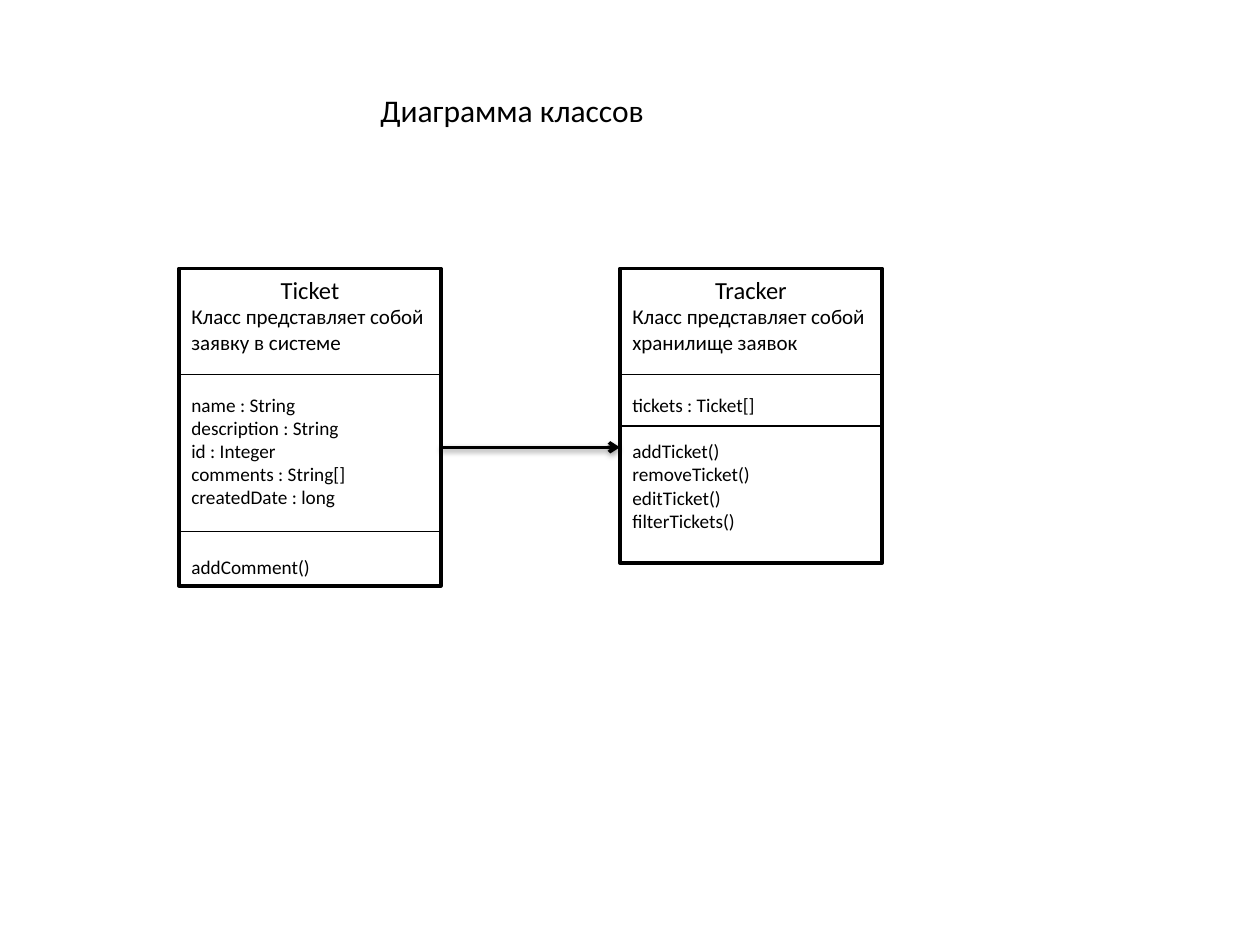
from lxml.etree import SubElement
from pptx import Presentation
from pptx.dml.color import RGBColor
from pptx.enum.shapes import MSO_CONNECTOR, MSO_SHAPE
from pptx.enum.text import MSO_ANCHOR, PP_ALIGN
from pptx.oxml.ns import qn
from pptx.util import Inches, Pt

COLORS = {"ink": "000000", "paper": "FFFFFF"}
FONT = "Calibri"
TITLE = "Диаграмма классов"
CLASS_TOP, CLASS_WIDTH, HEADER_BOTTOM = 2.13, 2.08, 2.97
ARROW_Y = 3.55
HEADER_GAP = 22
CLASSES = [
    {
        "name": "Ticket",
        "about": "Класс представляет собой заявку в системе",
        "fields": ["name : String", "description : String", "id : Integer",
                   "comments : String[]", "createdDate : long"],
        "methods": ["addComment()"],
        "left": 1.42, "height": 2.52, "fields_bottom": 4.22, "methods_gap": 27,
    },
    {
        "name": "Tracker",
        "about": "Класс представляет собой хранилище заявок",
        "fields": ["tickets : Ticket[]"],
        "methods": ["addTicket()", "removeTicket()", "editTicket()", "filterTickets()"],
        "left": 4.92, "height": 2.34, "fields_bottom": 3.38, "methods_gap": 13.5,
    },
]


def color(key):
    return RGBColor.from_string(COLORS[key])


def write(paragraph, text, size, align=PP_ALIGN.LEFT, before=0):
    paragraph.alignment = align
    paragraph.space_before = Pt(before)
    run = paragraph.add_run()
    run.text = text
    run.font.name = FONT
    run.font.size = Pt(size)
    run.font.color.rgb = color("ink")


def add_line(slide, start, end, width):
    line = slide.shapes.add_connector(
        MSO_CONNECTOR.STRAIGHT, *[Inches(v) for v in (*start, *end)])
    line.line.color.rgb = color("ink")
    line.line.width = Pt(width)
    effects = SubElement(line._element.spPr, qn("a:effectLst"))
    return line, effects


def add_class(slide, item):
    left, right = item["left"], item["left"] + CLASS_WIDTH
    box = slide.shapes.add_shape(
        MSO_SHAPE.RECTANGLE, Inches(left), Inches(CLASS_TOP),
        Inches(CLASS_WIDTH), Inches(item["height"]))
    box.shadow.inherit = False
    box.fill.solid()
    box.fill.fore_color.rgb = color("paper")
    box.line.color.rgb = color("ink")
    box.line.width = Pt(2)
    frame = box.text_frame
    frame.word_wrap = True
    frame.vertical_anchor = MSO_ANCHOR.TOP
    write(frame.paragraphs[0], item["name"], 14, align=PP_ALIGN.CENTER)
    write(frame.add_paragraph(), item["about"], 12)
    for members, gap in ((item["fields"], HEADER_GAP),
                         (item["methods"], item["methods_gap"])):
        for index, member in enumerate(members):
            write(frame.add_paragraph(), member, 11, before=0 if index else gap)
    for y in (HEADER_BOTTOM, item["fields_bottom"]):
        add_line(slide, (left, y), (right, y), 0.75)


def add_association(slide, source, target):
    arrow, effects = add_line(
        slide, (source["left"] + CLASS_WIDTH, ARROW_Y), (target["left"], ARROW_Y), 2)
    SubElement(arrow.line._get_or_add_ln(), qn("a:tailEnd"), type="arrow")
    shadow = SubElement(effects, qn("a:outerShdw"), blurRad=str(Pt(3.15)),
                        dist=str(Pt(1.6)), dir="5400000", rotWithShape="0")
    tint = SubElement(shadow, qn("a:srgbClr"), val=COLORS["ink"])
    SubElement(tint, qn("a:alpha"), val="38000")


def main():
    deck = Presentation()
    deck.slide_width, deck.slide_height = Inches(10), Inches(7.5)
    slide = deck.slides.add_slide(deck.slide_layouts[6])
    for item in CLASSES:
        add_class(slide, item)
    add_association(slide, *CLASSES)
    title = slide.shapes.add_textbox(Inches(2.92), Inches(0.67), Inches(2.33), Inches(0.4))
    title.text_frame.word_wrap = True
    write(title.text_frame.paragraphs[0], TITLE, 18)
    deck.save("out.pptx")


if __name__ == "__main__":
    main()
